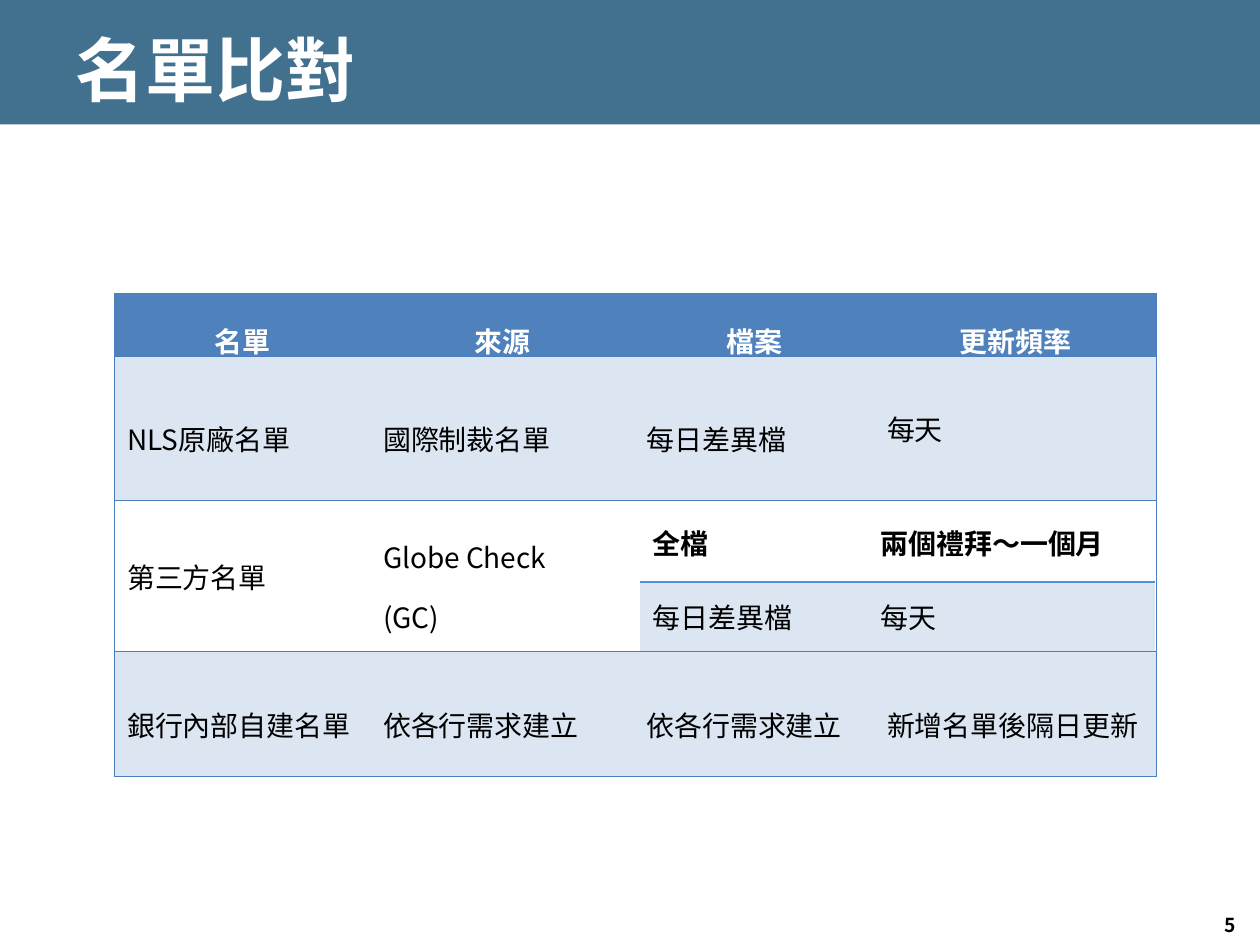
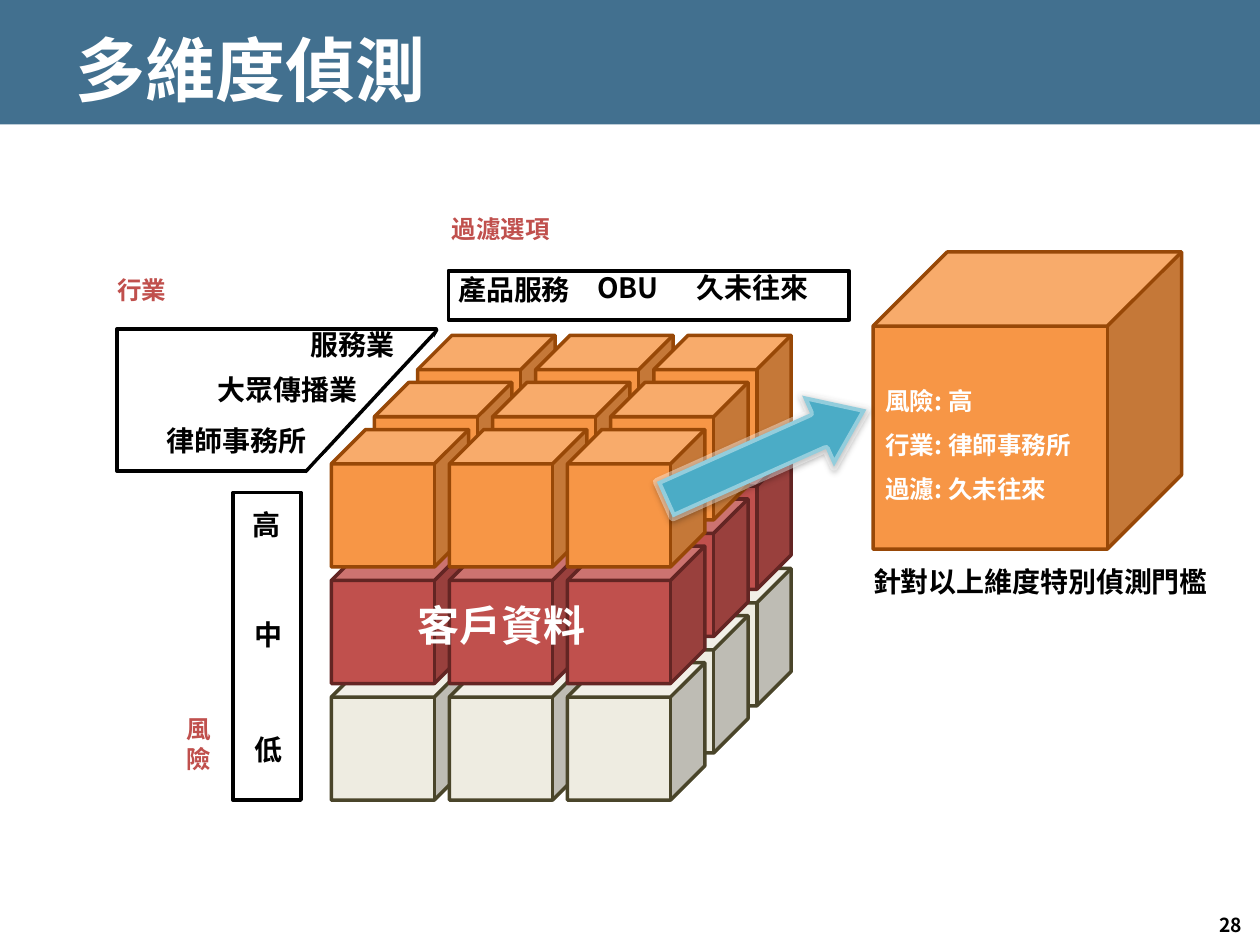
"""Build two slides on name-list matching and multi-dimensional detection."""
from dataclasses import dataclass, replace
from itertools import product
from typing import NamedTuple, Optional

from lxml import etree
from pptx import Presentation
from pptx.dml.color import RGBColor
from pptx.enum import shapes, text
from pptx.oxml import ns
from pptx.util import Cm, Pt

FONT = "Noto Sans CJK SC"
WHITE = RGBColor(0xFF, 0xFF, 0xFF)
BLACK = RGBColor(0x00, 0x00, 0x00)
BAND = RGBColor(0x42, 0x70, 0x8F)
BLUE = RGBColor(0x4F, 0x81, 0xBD)
BLUE_EDGE = RGBColor(0x3A, 0x5F, 0x8C)
PALE_BLUE = RGBColor(0xDC, 0xE6, 0xF2)
TABLE_EDGE = RGBColor(0x4B, 0x7E, 0xBC)
INNER_EDGE = RGBColor(0x55, 0x8E, 0xD5)
ORANGE = RGBColor(0xF7, 0x96, 0x46)
ORANGE_EDGE = RGBColor(0x98, 0x48, 0x07)
TAN_EDGE = RGBColor(0xB7, 0x6F, 0x34)
RED = RGBColor(0xC0, 0x50, 0x4D)
RED_EDGE = RGBColor(0x63, 0x25, 0x23)
IVORY = RGBColor(0xEE, 0xEC, 0xE1)
IVORY_EDGE = RGBColor(0x4A, 0x45, 0x2A)
TEAL = RGBColor(0x4B, 0xAC, 0xC6)

SHAPE = shapes.MSO_SHAPE
LEFT, CENTER, RIGHT = text.PP_ALIGN.LEFT, text.PP_ALIGN.CENTER, text.PP_ALIGN.RIGHT
TOP, MIDDLE = text.MSO_ANCHOR.TOP, text.MSO_ANCHOR.MIDDLE


class Box(NamedTuple):
    """Position and size in centimetres."""

    left: float
    top: float
    width: float
    height: float

    def lengths(self) -> list:
        """Return the four values as lengths."""
        return [Cm(value) for value in self]


@dataclass(frozen=True)
class Style:
    """Look of a piece of text."""

    size: float = 16
    color: RGBColor = BLACK
    bold: bool = True
    align: text.PP_ALIGN = LEFT
    spacing: float = 1.0


class Label(NamedTuple):
    """Text placed freely on a slide."""

    words: str
    box: Box
    style: Style = Style()


class Row(NamedTuple):
    """One table row."""

    height: float
    words: tuple
    style: Style
    fill: Optional[RGBColor] = None
    single_spaced: tuple = ()


class Layer(NamedTuple):
    """Colours of one level of cubes: in sight, and at the back."""

    fill: RGBColor
    edge: RGBColor
    back_fill: RGBColor
    back_edge: RGBColor


TITLE = Style(40, WHITE)
NUMBER = Style(11, align=CENTER)
HEADER = Style(color=WHITE, align=CENTER, spacing=1.5)
BODY = Style(bold=False, spacing=1.5)
PLAIN = Style(bold=False)
AXIS = Style(14, RED)
TO_RIGHT = Style(align=RIGHT)
CENTERED = Style(align=CENTER)

LIST_ROWS = [
    Row(1.04, ("名單", "來源", "檔案", "更新頻率"), HEADER, BLUE),
    Row(2.9, ("NLS原廠名單", "國際制裁名單", "每日差異檔", "每天"), BODY, PALE_BLUE, (3,)),
    Row(3.05, ("第三方名單", "Globe Check\n(GC)", "", ""), BODY, None, (0,)),
    Row(2.51, ("銀行內部自建名單", "依各行需求建立", "依各行需求建立", "新增名單後隔日更新"),
        BODY, PALE_BLUE),
]
FILE_ROWS = [
    Row(1.6, ("全檔", "兩個禮拜～一個月"), Style()),
    Row(1.4, ("每日差異檔", "每天"), PLAIN, PALE_BLUE),
]
LAYERS = [
    Layer(IVORY, IVORY_EDGE, BLUE, BLUE_EDGE),
    Layer(RED, RED_EDGE, ORANGE, TAN_EDGE),
    Layer(ORANGE, ORANGE_EDGE, ORANGE, ORANGE_EDGE),
]
INDUSTRIES = [
    Label("行業", Box(2.11, 5.54, 5.28, 0.74), AXIS),
    Label("服務業", Box(3.3, 6.6, 4.9, 0.81), TO_RIGHT),
    Label("大眾傳播業", Box(3.28, 7.52, 4.17, 0.81), TO_RIGHT),
    Label("律師事務所", Box(2.11, 8.53, 4.32, 0.81), TO_RIGHT),
]
RISKS = [
    Label("低", Box(4.88, 14.76, 0.97, 0.81), CENTERED),
    Label("中", Box(4.88, 12.45, 0.94, 0.81), CENTERED),
    Label("風險", Box(3.3, 14.4, 1.4, 0.74), replace(AXIS, align=CENTER)),
    Label("高", Box(4.85, 10.24, 0.99, 0.81), CENTERED),
]
FILTERS = [
    Label("久未往來", Box(13.79, 5.46, 3.33, 0.81)),
    Label("過濾選項", Box(8.86, 4.32, 4.83, 0.74), AXIS),
    Label("產品服務", Box(8.99, 5.49, 2.84, 0.81)),
    Label("OBU", Box(11.79, 5.46, 1.85, 0.81)),
]


def write(tf, words: str, style: Style) -> None:
    """Fill a text frame, one paragraph a line."""
    for i, line in enumerate(words.split("\n")):
        p = tf.add_paragraph() if i else tf.paragraphs[0]
        p.alignment = style.align
        p.line_spacing = style.spacing
        r = p.add_run()
        r.text = line
        r.font.size = Pt(style.size)
        r.font.bold = style.bold
        r.font.color.rgb = style.color
        r.font.name = FONT
        etree.SubElement(r.font._element, ns.qn("a:ea"), typeface=FONT)


def add_label(slide, label: Label, anchor=TOP, inset: float = 0) -> None:
    """Add a wrapping text box."""
    tf = slide.shapes.add_textbox(*label.box.lengths()).text_frame
    tf.word_wrap = True
    tf.vertical_anchor = anchor
    tf.margin_top = tf.margin_bottom = Cm(inset)
    write(tf, label.words, label.style)


def add_form(slide, kind, box: Box, fill: Optional[RGBColor] = None,
             edge: Optional[RGBColor] = None, rotation: float = 0):
    """Add a preset shape without shadow."""
    sp = slide.shapes.add_shape(kind, *box.lengths())
    sp.shadow.inherit = False
    sp.rotation = rotation
    if fill is None:
        sp.fill.background()
    else:
        sp.fill.solid()
        sp.fill.fore_color.rgb = fill
    if edge is None:
        sp.line.fill.background()
    else:
        sp.line.color.rgb = edge
        sp.line.width = Pt(2)
    return sp


def add_alpha(color, percent: int) -> None:
    """Make a colour element partly transparent."""
    etree.SubElement(color, ns.qn("a:alpha"), val=str(percent * 1000))


def set_edge(cell, side: str, color: Optional[RGBColor], width: float) -> None:
    """Draw or clear one border of a cell."""
    ln = etree.SubElement(cell._tc.get_or_add_tcPr(), ns.qn(f"a:ln{side}"), w=str(Pt(width)))
    if color is None:
        etree.SubElement(ln, ns.qn("a:noFill"))
    else:
        fill = etree.SubElement(ln, ns.qn("a:solidFill"))
        etree.SubElement(fill, ns.qn("a:srgbClr"), val=str(color))


def add_grid(slide, left: float, top: float, widths: list, rows: list,
             edge: RGBColor, edge_width: float, framed: bool) -> None:
    """Add a table with lines between rows and, if framed, around it."""
    box = Box(left, top, sum(widths), sum(row.height for row in rows))
    table = slide.shapes.add_table(len(rows), len(widths), *box.lengths()).table
    table.first_row = table.horz_banding = False
    for column, width in zip(table.columns, widths):
        column.width = Cm(width)
    for y, row in enumerate(rows):
        table.rows[y].height = Cm(row.height)
        for x, words in enumerate(row.words):
            cell = table.cell(y, x)
            cell.vertical_anchor = MIDDLE
            drawn = {"L": framed and x == 0, "R": framed and x == len(widths) - 1,
                     "T": framed or y > 0, "B": framed or y < len(rows) - 1}
            for side, shown in drawn.items():
                set_edge(cell, side, edge if shown else None, edge_width)
            if row.fill is None:
                cell.fill.background()
            else:
                cell.fill.solid()
                cell.fill.fore_color.rgb = row.fill
            if words:
                single = x in row.single_spaced
                write(cell.text_frame, words, replace(row.style, spacing=1.0) if single else row.style)


def add_base(prs, title: str, number: int):
    """Add a slide with its band, title and page number."""
    slide = prs.slides.add_slide(prs.slide_layouts[6])
    add_form(slide, SHAPE.RECTANGLE, Box(0, -0.08, 25.4, 2.59), BAND)
    add_label(slide, Label(title, Box(1.27, 0.28, 22.86, 2.21), TITLE), MIDDLE, 0.13)
    add_label(slide, Label(str(number), Box(24.21, 18.26, 1.19, 0.76), NUMBER), MIDDLE, 0.13)
    return slide


def add_cubes(slide) -> None:
    """Stack three layers of three by three cubes, from the back."""
    for (level, layer), row, col in product(enumerate(LAYERS), range(3), range(3)):
        box = Box(8.42 - 0.87 * row + 2.38 * col, 11.46 - 2.35 * level + 0.95 * row, 2.77, 2.77)
        at_back = row < 2 and col < 2
        colors = (layer.back_fill, layer.back_edge) if at_back else (layer.fill, layer.edge)
        add_form(slide, SHAPE.CUBE, box, *colors)


def add_arrow(slide) -> None:
    """Add the tilted arrow with a soft edge and shadow."""
    sp = add_form(slide, SHAPE.RIGHT_ARROW, Box(13.21, 8.38, 4.45, 1.57), TEAL, WHITE, 335.9)
    sp.adjustments[0], sp.adjustments[1] = 0.5, 0.68
    sp.line.width = Pt(4.5)
    add_alpha(sp.line._ln.find(".//" + ns.qn("a:srgbClr")), 40)
    effects = sp._element.spPr.find(ns.qn("a:effectLst"))
    shadow = etree.SubElement(effects, ns.qn("a:outerShdw"), blurRad=str(Pt(3.1)),
                              dist=str(Pt(1.6)), dir="5400000", rotWithShape="0")
    add_alpha(etree.SubElement(shadow, ns.qn("a:srgbClr"), val=str(BLACK)), 38)


def add_matching_slide(prs) -> None:
    """Add the slide on list sources."""
    slide = add_base(prs, "名單比對", 5)
    add_grid(slide, 2.31, 5.92, [5.16, 5.31, 4.85, 5.69], LIST_ROWS, TABLE_EDGE, 0.75, True)
    add_grid(slide, 12.9, 10.13, [4.6, 5.79], FILE_ROWS, INNER_EDGE, 1, False)


def add_detection_slide(prs) -> None:
    """Add the slide on the customer data cube."""
    slide = add_base(prs, "多維度偵測", 28)
    result = add_form(slide, SHAPE.CUBE, Box(17.6, 5.08, 6.22, 5.99), ORANGE, ORANGE_EDGE)
    result.text_frame.word_wrap = True
    result.text_frame.vertical_anchor = MIDDLE
    write(result.text_frame, "風險: 高\n行業: 律師事務所\n過濾: 久未往來", Style(14, WHITE, spacing=1.5))
    add_label(slide, Label("針對以上維度特別偵測門檻", Box(17.35, 11.38, 9.12, 0.81)))

    add_form(slide, SHAPE.RIGHT_TRIANGLE, Box(6.07, 6.76, 2.84, 2.64), WHITE, BLACK, 270)
    for label in INDUSTRIES:
        add_label(slide, label)
    add_form(slide, SHAPE.RECTANGLE, Box(2.36, 6.63, 6.43, 2.87), edge=BLACK)
    add_form(slide, SHAPE.RECTANGLE, Box(8.56, 6.68, 0.74, 0.36), WHITE, rotation=120.9)
    add_form(slide, SHAPE.RECTANGLE, Box(5.92, 9.42, 0.97, 0.51), WHITE, rotation=133)

    for labels, frame in ((RISKS, Box(4.7, 9.93, 1.37, 6.2)), (FILTERS, Box(9.04, 5.46, 8.08, 0.99))):
        for label in labels:
            add_label(slide, label)
        add_form(slide, SHAPE.RECTANGLE, frame, edge=BLACK)

    add_cubes(slide)
    add_arrow(slide)
    add_label(slide, Label("客戶資料", Box(7.82, 12.09, 4.57, 1.09), Style(24, WHITE, align=CENTER)))


def main() -> None:
    """Build and save the presentation."""
    prs = Presentation()
    prs.slide_width, prs.slide_height = Cm(25.4), Cm(19.05)
    add_matching_slide(prs)
    add_detection_slide(prs)
    prs.save("out.pptx")


if __name__ == "__main__":
    main()
